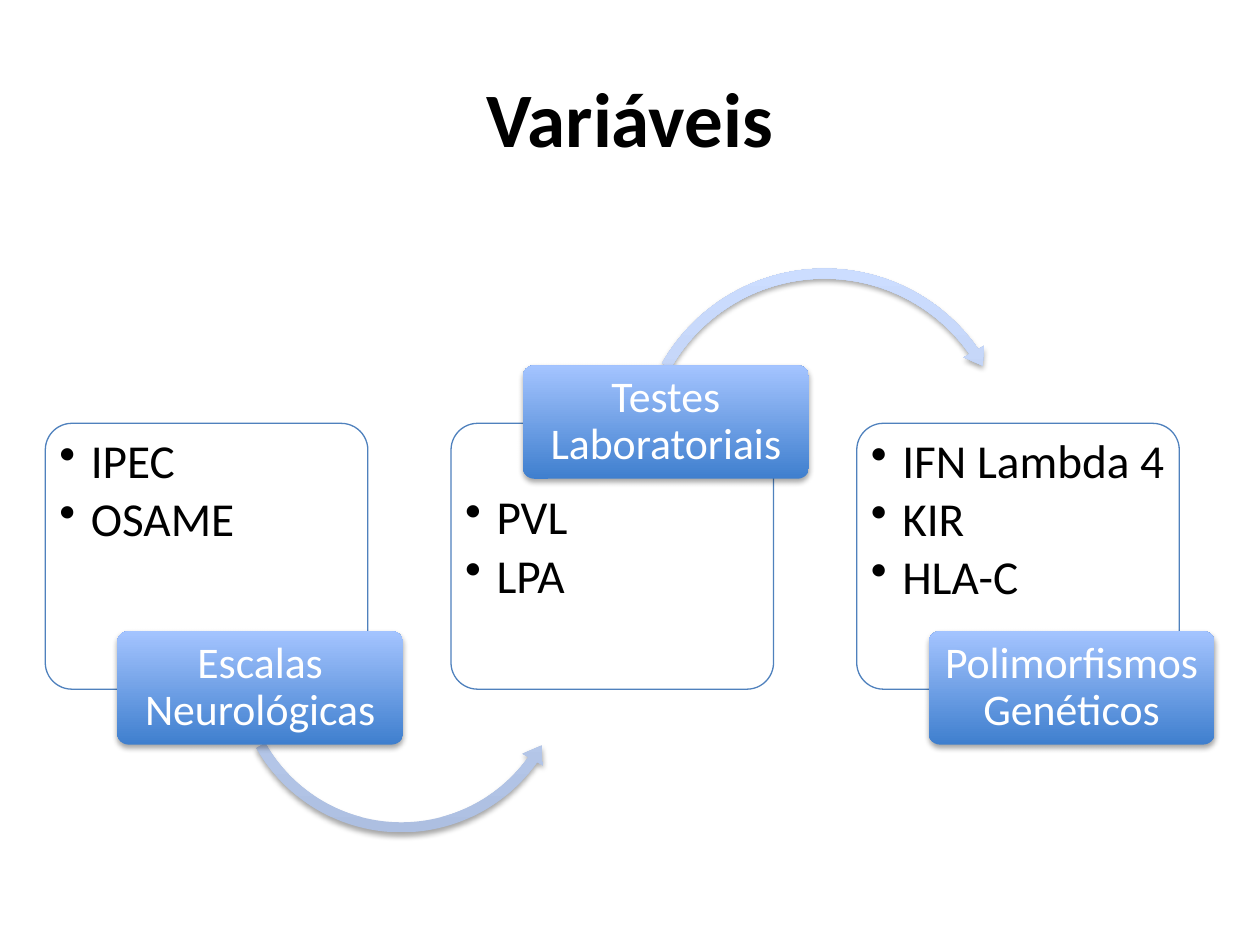
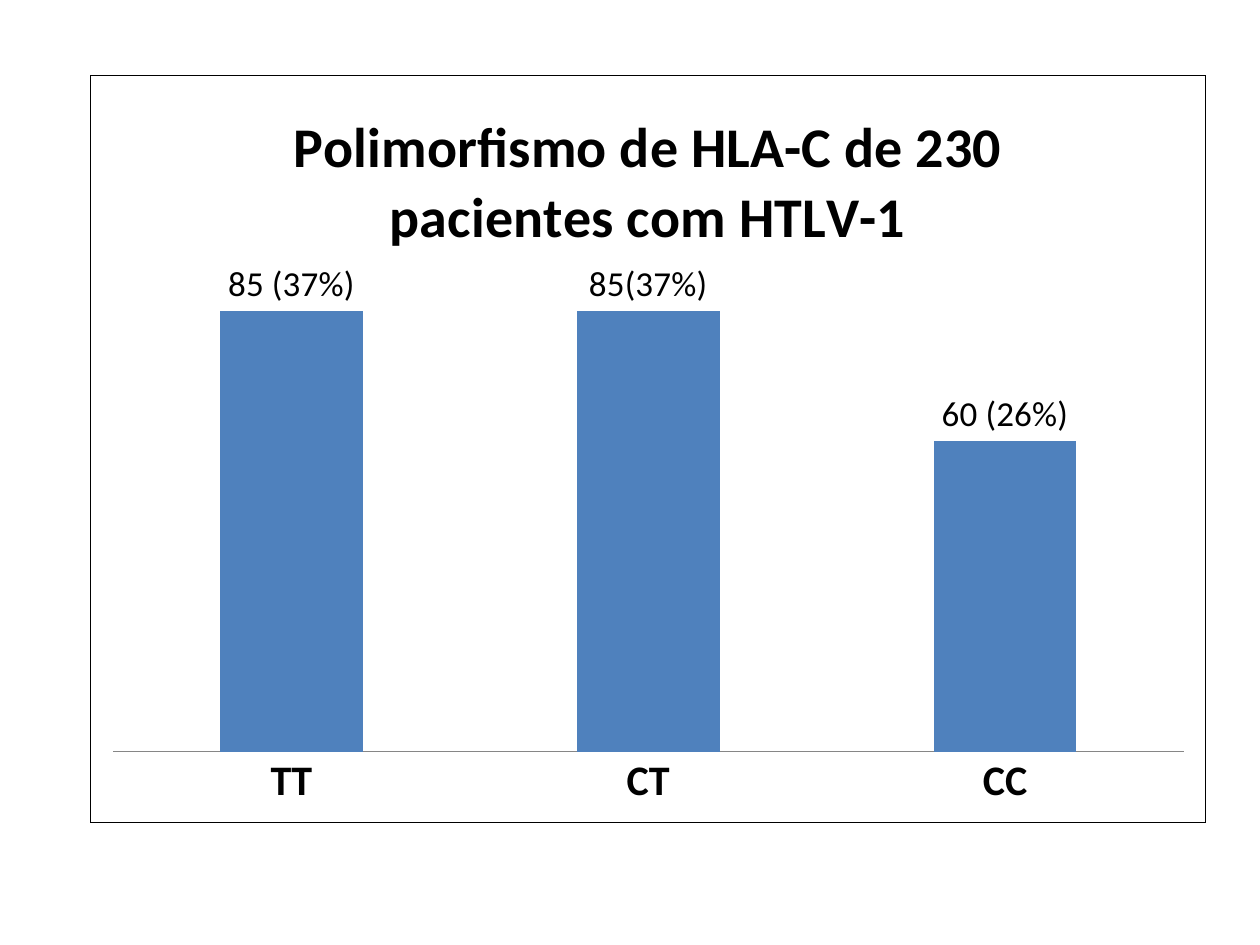
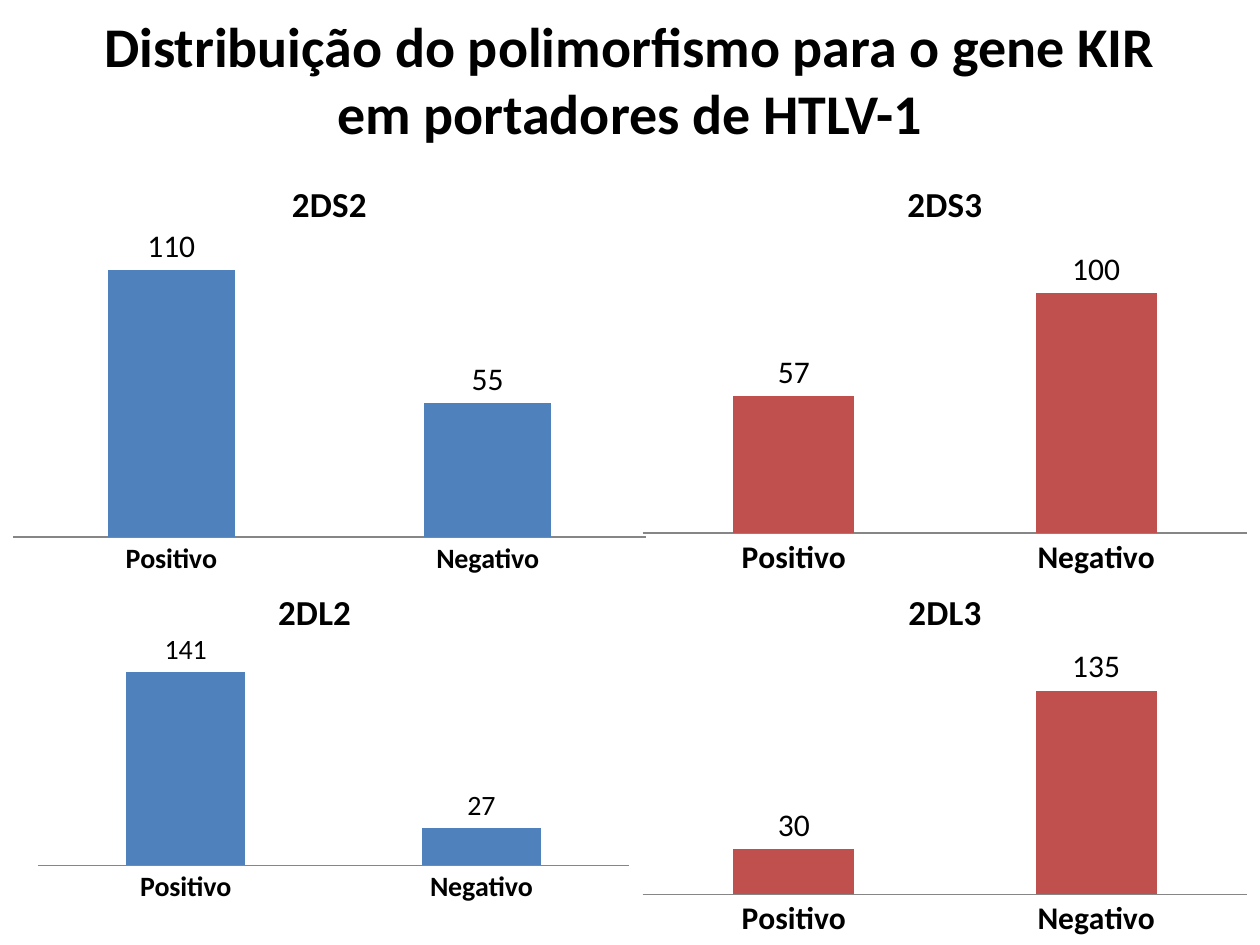
"""Build three slides on study variables and HLA-C and KIR polymorphisms in HTLV-1."""
from dataclasses import dataclass

from lxml import etree
from pptx import Presentation, util as u
from pptx.chart import data
from pptx.dml.color import RGBColor
from pptx.enum import chart as charts, shapes, text
from pptx.oxml import parse_xml
from pptx.oxml.ns import nsdecls, qn


@dataclass(frozen=True)
class Theme:
    font: str = "Calibri"
    ink: str = "000000"
    paper: str = "FFFFFF"
    blue: str = "4F81BD"
    red: str = "C0504D"
    axis: str = "868686"
    label_gradient: tuple = ("3F7FCE", "A4C4FF")
    arrow_gradient: tuple = ("ADBFE1", "CCDDFF")
    title_size: int = 44
    long_title_size: int = 32
    item_size: int = 27
    label_size: int = 25


def rgb(value):
    return RGBColor.from_string(value)


class Deck:
    def __init__(self, theme):
        self.theme = theme
        self.prs = Presentation()
        self.prs.slide_width, self.prs.slide_height = u.Inches(10), u.Inches(7.5)
        self.slide = None

    def new_slide(self, title=None, top=0, size=None):
        self.slide = self.prs.slides.add_slide(self.prs.slide_layouts[5 if title else 6])
        if title:
            box = self.slide.shapes.title
            box.left, box.top = u.Inches(0.5), u.Inches(top)
            box.width, box.height = u.Inches(9), u.Inches(1.25)
            frame = box.text_frame
            frame.auto_size = text.MSO_AUTO_SIZE.NONE
            frame.vertical_anchor = text.MSO_ANCHOR.MIDDLE
            paragraph = frame.paragraphs[0]
            paragraph.alignment = text.PP_ALIGN.CENTER
            self.run(paragraph, title, size, bold=True)

    def style(self, font, size, color=None, bold=False):
        font.name, font.size, font.bold = self.theme.font, u.Pt(size), bold
        font.color.rgb = rgb(color or self.theme.ink)

    def run(self, paragraph, words, size, color=None, bold=False):
        run = paragraph.add_run()
        run.text = words
        self.style(run.font, size, color, bold)

    def shape(self, kind, at, adjustments):
        shape = self.slide.shapes.add_shape(kind, *map(u.Inches, at))
        shape.shadow.inherit = False
        for index, value in enumerate(adjustments):
            shape.adjustments[index] = value
        return shape

    def raised(self, kind, at, adjustments, colors):
        shape = self.shape(kind, at, adjustments)
        shape.line.fill.background()
        shape.fill.gradient()
        shape.fill.gradient_angle = 90
        for stop, value in zip(shape.fill.gradient_stops, colors):
            stop.color.rgb = rgb(value)
        shape._element.spPr.find(qn("a:effectLst")).append(parse_xml(
            f'<a:outerShdw {nsdecls("a")} blurRad="40000" dist="23000" dir="5400000" '
            'rotWithShape="0"><a:srgbClr val="000000"><a:alpha val="35000"/>'
            '</a:srgbClr></a:outerShdw>'))
        return shape

    def frame(self, shape, anchor, left, top, right, bottom):
        frame = shape.text_frame
        frame.word_wrap = True
        frame.vertical_anchor = anchor
        frame.margin_left, frame.margin_top = u.Inches(left), u.Inches(top)
        frame.margin_right, frame.margin_bottom = u.Inches(right), u.Inches(bottom)
        return frame

    def panel(self, at, items, text_top):
        panel = self.shape(shapes.MSO_SHAPE.ROUNDED_RECTANGLE, at, [0.1])
        panel.fill.solid()
        panel.fill.fore_color.rgb = rgb(self.theme.paper)
        panel.line.color.rgb = rgb(self.theme.blue)
        panel.line.width = u.Pt(0.75)
        frame = self.frame(panel, text.MSO_ANCHOR.TOP, 0.05, text_top, 0.03, 0.05)
        for index, item in enumerate(items):
            paragraph = frame.add_paragraph() if index else frame.paragraphs[0]
            paragraph.alignment = text.PP_ALIGN.LEFT
            paragraph.level = 1
            paragraph.line_spacing = 0.9
            paragraph.space_after = u.Pt(4)
            properties = paragraph._p.get_or_add_pPr()
            properties.set("marL", str(u.Inches(0.25)))
            properties.set("indent", str(u.Inches(-0.25)))
            etree.SubElement(properties, qn("a:buChar"), char="•")
            self.run(paragraph, item, self.theme.item_size)

    def label(self, at, words):
        label = self.raised(shapes.MSO_SHAPE.ROUNDED_RECTANGLE, at, [0.1],
                            self.theme.label_gradient)
        frame = self.frame(label, text.MSO_ANCHOR.MIDDLE, 0.05, 0.03, 0.05, 0.03)
        paragraph = frame.paragraphs[0]
        paragraph.alignment = text.PP_ALIGN.CENTER
        paragraph.line_spacing = 0.9
        self.run(paragraph, words, self.theme.label_size, self.theme.paper)

    def arrow(self, kind, at, adjustments):
        self.raised(kind, at, adjustments, self.theme.arrow_gradient)

    def columns(self, at, title, categories, values, color, title_size, axis_size,
                label_size, captions=(), border=False, plot_box=None):
        chart_data = data.CategoryChartData()
        chart_data.categories = categories
        chart_data.add_series("Series 1", values)
        chart = self.slide.shapes.add_chart(
            charts.XL_CHART_TYPE.COLUMN_CLUSTERED, *map(u.Inches, at), chart_data).chart
        self.style(chart.font, label_size)
        chart.has_legend = False
        chart.has_title = True
        self.run(chart.chart_title.text_frame.paragraphs[0], title, title_size, bold=True)

        chart.value_axis.visible = False
        chart.value_axis.has_major_gridlines = False
        chart.value_axis.minimum_scale = 0
        axis = chart.category_axis
        axis.major_tick_mark = charts.XL_TICK_MARK.NONE
        axis.format.line.color.rgb = rgb(self.theme.axis)
        axis.format.line.width = u.Pt(0.75)
        self.style(axis.tick_labels.font, axis_size, bold=True)

        plot = chart.plots[0]
        plot.vary_by_categories = False
        plot.gap_width, plot.overlap = 150, -25
        series = plot.series[0]
        series.format.fill.solid()
        series.format.fill.fore_color.rgb = rgb(color)
        labels = series.data_labels
        labels.show_value = True
        labels.position = charts.XL_LABEL_POSITION.OUTSIDE_END
        self.style(labels.font, label_size)
        for index, caption in enumerate(captions):
            point_label = series.points[index].data_label
            self.run(point_label.text_frame.paragraphs[0], caption, label_size)
            point_label.position = charts.XL_LABEL_POSITION.OUTSIDE_END
        self.chart_border(chart, border)
        if plot_box:
            self.place_plot(chart, plot_box)

    def chart_border(self, chart, visible):
        line = (f'<a:solidFill><a:srgbClr val="{self.theme.ink}"/></a:solidFill>'
                if visible else "<a:noFill/>")
        chart._chartSpace.find(qn("c:chart")).addnext(parse_xml(
            f'<c:spPr {nsdecls("c", "a")}><a:noFill/><a:ln>{line}</a:ln></c:spPr>'))

    def place_plot(self, chart, plot_box):
        area = chart._chartSpace.find(qn("c:chart")).find(qn("c:plotArea"))
        for layout in area.findall(qn("c:layout")):
            area.remove(layout)
        layout = etree.Element(qn("c:layout"))
        manual = etree.SubElement(layout, qn("c:manualLayout"))
        settings = [("layoutTarget", "inner"), ("xMode", "edge"), ("yMode", "edge")]
        settings += zip("xywh", plot_box)
        for tag, value in settings:
            etree.SubElement(manual, qn(f"c:{tag}"), val=str(value))
        area.insert(0, layout)


def variables_slide(deck):
    deck.new_slide("Variáveis", 0.3, deck.theme.title_size)
    groups = [
        ("Escalas Neurológicas", ["IPEC", "OSAME"], False,
         (shapes.MSO_SHAPE.LEFT_CIRCULAR_ARROW, (1.81, 3.91, 2.75, 2.75),
          [0.029, 3.533, 21.288, 90.245, 0.034])),
        ("Testes Laboratoriais", ["PVL", "LPA"], True,
         (shapes.MSO_SHAPE.CIRCULAR_ARROW, (5.01, 2.08, 3.07, 3.07),
          [0.026, 3.135, 195.11, 125.755, 0.03])),
        ("Polimorfismos Genéticos", ["IFN Lambda 4", "KIR", "HLA-C"], False, None),
    ]
    for index, (name, items, label_above, arrow) in enumerate(groups):
        left = 0.36 + 3.22 * index
        deck.panel((left, 3.36, 2.56, 2.11), items, 0.5 if label_above else 0.05)
        if arrow:
            deck.arrow(*arrow)
        deck.label((left + 0.57, 2.9 if label_above else 5.01, 2.27, 0.9), name)


def hla_slide(deck):
    deck.new_slide()
    deck.columns((0.72, 0.6, 8.85, 5.93), "Polimorfismo de HLA-C de 230 pacientes com HTLV-1",
                 ["TT", "CT", "CC"], [85, 85, 60], deck.theme.blue, 32, 24, 20,
                 captions=["85 (37%)", "85(37%)", "60 (26%)"], border=True)


def kir_slide(deck):
    deck.new_slide("Distribuição do polimorfismo para o gene KIR em portadores de HTLV-1",
                   0, deck.theme.long_title_size)
    blue, red = deck.theme.blue, deck.theme.red
    genes = [
        ("2DS2", (0, 1.25, 5.23, 3.39), [110, 55], blue, 16, 18, None),
        ("2DS3", (5, 1.25, 5, 3.39), [57, 100], red, 18, 18, None),
        ("2DL3", (5, 4.5, 5, 3), [30, 135], red, 18, 18, None),
        ("2DL2", (0, 4.5, 5, 3), [141, 27], blue, 16, 16, (0.06, 0.21, 0.94, 0.58)),
    ]
    for gene, at, counts, color, axis_size, label_size, plot_box in genes:
        deck.columns(at, gene, ["Positivo", "Negativo"], counts, color, 20,
                     axis_size, label_size, plot_box=plot_box)


def main():
    deck = Deck(Theme())
    variables_slide(deck)
    hla_slide(deck)
    kir_slide(deck)
    deck.prs.save("out.pptx")


if __name__ == "__main__":
    main()
